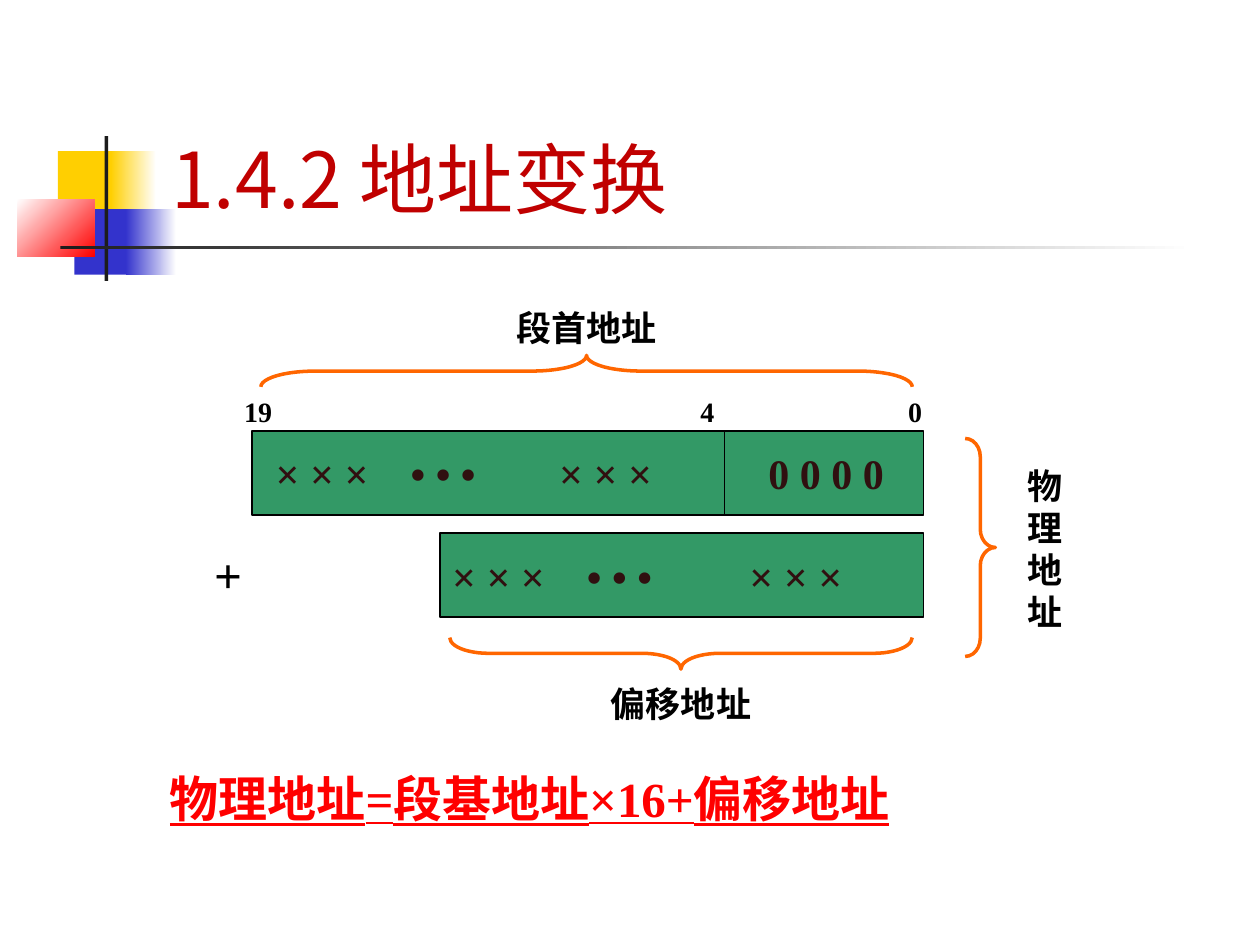
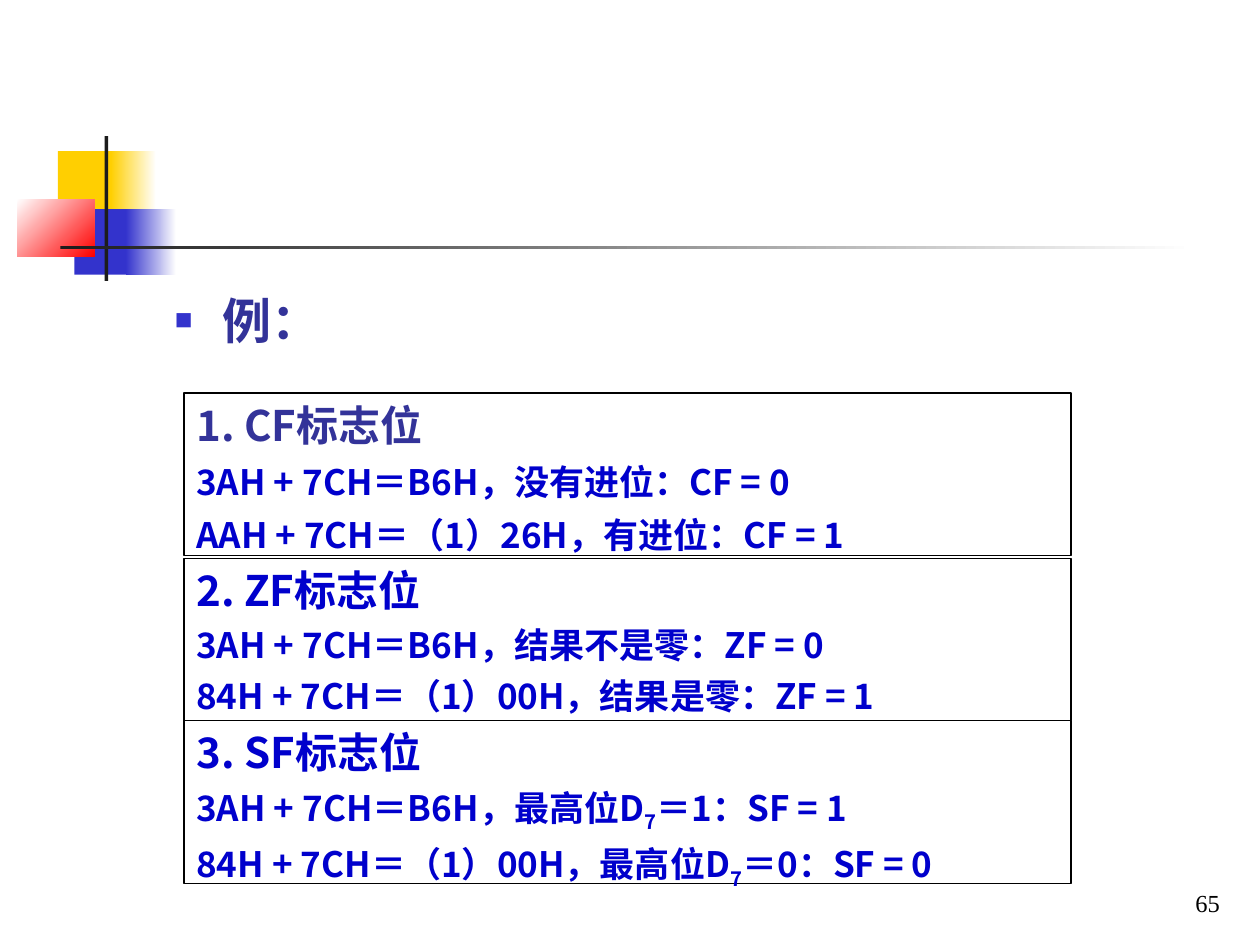
from dataclasses import dataclass

from lxml.etree import SubElement
from pptx import Presentation
from pptx.dml.color import RGBColor
from pptx.enum.shapes import MSO_CONNECTOR, MSO_SHAPE
from pptx.enum.text import MSO_ANCHOR as Anchor, PP_ALIGN as Align
from pptx.oxml.ns import qn
from pptx.util import Emu, Pt

PX = 9144  # one px is a hundredth of an inch


@dataclass(frozen=True)
class Theme:
    yellow: str = "FFCF01"
    blue: str = "3333CC"
    red: str = "FF0000"
    white: str = "FFFFFF"
    black: str = "000000"
    rule: str = "1C1C1C"
    title: str = "C00000"
    green: str = "339966"
    bits: str = "301010"
    brace: str = "FF6600"
    heading: str = "333399"
    example: str = "0000CC"
    serif: str = "Times New Roman"
    sans: str = "Noto Sans CJK SC"
    lead: str = "Cabin"
    title_size: int = 44
    large: int = 28
    medium: int = 24
    label: int = 20
    small: int = 16
    number: int = 14


THEME = Theme()

# Places are (left, top, width, height); a pair of colours is a gradient.
DECORATION = [
    ((46, 120, 48, 52), THEME.yellow, 0),
    ((88, 120, 36, 52), (THEME.yellow, THEME.white), 0),
    ((59, 166, 46, 52), THEME.blue, 0),
    ((100, 166, 40, 52), (THEME.blue, THEME.white), 0),
    ((14, 158, 61, 46), (THEME.white, THEME.red), 45),
    ((83, 108, 3, 115), THEME.rule, 0),
    ((48, 195, 900, 3), (THEME.rule, THEME.white), 0),
]

TITLE = "1.4.2 地址变换"
FORMULA = "物理地址=段基地址×16+偏移地址"
REGISTERS = [(200, 342, 533, 67), (349, 423, 384, 67)]
DIVIDER = (575, 342, 409)  # x, top, bottom
BIT_GROUP_TAB = 107
BIT_TEXTS = [
    ("× × ×\t• • •", (209, 350, 233, 50)),
    ("× × ×", (434, 350, 150, 50)),
    ("0 0 0 0", (600, 350, 125, 50)),
    ("× × ×\t• • •", (349, 432, 233, 50)),
    ("× × ×", (585, 432, 150, 50)),
]
BIT_NUMBERS = [("19", 184, 63), ("4", 546, 39), ("0", 711, 39)]
ADDRESS_LABELS = [
    ("段首地址", (400, 238, 158, 44)),
    ("偏移地址", (475, 537, 158, 44)),
    ("物理地址", (806, 364, 63, 144)),
]
BRACES = [  # place as seen, rotation of a left brace
    ((207, 282, 517, 25), 90),
    ((357, 506, 367, 25), 270),
    ((766, 348, 24, 173), 180),
]

EXAMPLE = "例："
PAGE_NUMBER = "65"
FLAG_BOX_LEFT, FLAG_BOX_WIDTH, FLAG_BOX_HEIGHT = 146, 704, 129
# Every second span of a line is a subscript.
FLAGS = [
    (312, THEME.heading, Align.LEFT, "1. CF标志位", [
        ("3AH + 7CH＝B6H，没有进位：CF = 0",),
        ("AAH + 7CH＝（1）26H，有进位：CF = 1",)]),
    (443, THEME.example, Align.JUSTIFY, "2. ZF标志位", [
        ("3AH + 7CH＝B6H，结果不是零：ZF = 0",),
        ("84H + 7CH＝（1）00H，结果是零：ZF = 1",)]),
    (572, THEME.example, Align.JUSTIFY, "3. SF标志位", [
        ("3AH + 7CH＝B6H，最高位D", "7", "＝1：SF = 1"),
        ("84H + 7CH＝（1）00H，最高位D", "7", "＝0：SF = 0")]),
]


def px(*lengths):
    return [Emu(length * PX) for length in lengths]


def rgb(colour):
    return RGBColor.from_string(colour)


def add_preset(page, kind, place, fill=None, angle=0, line=None, width=1):
    shape = page.shapes.add_shape(kind, *px(*place))
    shape.shadow.inherit = False
    if fill is None:
        shape.fill.background()
    elif isinstance(fill, str):
        shape.fill.solid()
        shape.fill.fore_color.rgb = rgb(fill)
    else:
        shape.fill.gradient()
        shape.fill.gradient_angle = (360 - angle) % 360
        for stop, colour in zip(shape.fill.gradient_stops, fill):
            stop.color.rgb = rgb(colour)
    if line:
        shape.line.color.rgb = rgb(line)
        shape.line.width = Pt(width)
    else:
        shape.line.fill.background()
    return shape


def write(shape, text, size, colour=THEME.black, font=THEME.serif, bold=True,
          underline=None, align=Align.LEFT, anchor=Anchor.TOP, before=0,
          after=0, tab=None):
    """Add one paragraph to a shape; text is a string or a tuple of spans."""
    frame = shape.text_frame
    frame.word_wrap = True
    frame.vertical_anchor = anchor
    para = frame.paragraphs[0]
    if para.runs:
        para = frame.add_paragraph()
        para.space_before = Pt(before)
    para.space_after = Pt(after)
    para.alignment = align
    if tab:
        tabs = SubElement(para._p.get_or_add_pPr(), qn("a:tabLst"))
        SubElement(tabs, qn("a:tab"), pos=str(tab * PX), algn="l")
    for index, span in enumerate((text,) if isinstance(text, str) else text):
        run = para.add_run()
        run.text = span
        run.font.size = Pt(size)
        run.font.bold = bold
        run.font.underline = underline
        run.font.color.rgb = rgb(colour)
        run.font.name = font
        properties = run._r.get_or_add_rPr()
        SubElement(properties, qn("a:ea"), typeface=THEME.sans)
        if index % 2:
            properties.set("baseline", "-25000")
    return para


def add_text(page, place, text, size, **text_format):
    return write(page.shapes.add_textbox(*px(*place)), text, size, **text_format)


def add_brace(page, place, rotation):
    """Draw a left brace whose turned outline fills the place."""
    left, top, width, height = place
    depth, span = min(width, height), max(width, height)
    unturned = (left + (width - depth) / 2, top + (height - span) / 2, depth, span)
    unturned = [round(length) for length in unturned]
    brace = add_preset(page, MSO_SHAPE.LEFT_BRACE, unturned, line=THEME.brace, width=2)
    brace.adjustments[0] = span / depth / 12
    brace.rotation = rotation


def add_divider(page, x, top, bottom):
    divider = page.shapes.add_connector(MSO_CONNECTOR.STRAIGHT, *px(x, top, x, bottom))
    divider.line.color.rgb = rgb(THEME.black)
    divider.line.width = Pt(1)
    SubElement(divider._element.spPr, qn("a:effectLst"))


def add_square_bullet(para, indent):
    properties = para._p.get_or_add_pPr()
    properties.set("marL", str(indent * PX))
    properties.set("indent", str(-indent * PX))
    colour = SubElement(properties, qn("a:buClr"))
    SubElement(colour, qn("a:srgbClr"), val=THEME.blue)
    SubElement(properties, qn("a:buSzPct"), val="60000")
    SubElement(properties, qn("a:buFont"), typeface=THEME.serif)
    SubElement(properties, qn("a:buChar"), char="■")


def add_page(deck):
    page = deck.slides.add_slide(deck.slide_layouts[6])
    for place, fill, angle in DECORATION:
        add_preset(page, MSO_SHAPE.RECTANGLE, place, fill, angle)
    return page


def build_address_page(deck):
    page = add_page(deck)
    add_text(page, (126, 23, 852, 160), TITLE, THEME.title_size, font=THEME.sans,
             colour=THEME.title, bold=False, anchor=Anchor.BOTTOM)
    for place in REGISTERS:
        add_preset(page, MSO_SHAPE.RECTANGLE, place, THEME.green, line=THEME.black)
    add_divider(page, *DIVIDER)
    for text, place in BIT_TEXTS:
        add_text(page, place, text, THEME.medium, colour=THEME.bits,
                 tab=BIT_GROUP_TAB if "\t" in text else None)
    for text, left, width in BIT_NUMBERS:
        add_text(page, (left, 308, width, 37), text, THEME.small)
    for text, place in ADDRESS_LABELS:
        add_text(page, place, text, THEME.label)
    for place, rotation in BRACES:
        add_brace(page, place, rotation)
    add_text(page, (160, 427, 55, 57), "+", THEME.large)
    add_text(page, (125, 605, 654, 57), FORMULA, THEME.large,
             colour=THEME.red, underline=True)


def build_flags_page(deck):
    page = add_page(deck)
    example = add_text(page, (129, 221, 850, 68), EXAMPLE, THEME.large,
                       colour=THEME.heading, font=THEME.lead)
    example.line_spacing = 1.1
    add_square_bullet(example, 38)
    for top, colour, align, heading, lines in FLAGS:
        place = (FLAG_BOX_LEFT, top, FLAG_BOX_WIDTH, FLAG_BOX_HEIGHT)
        box = add_preset(page, MSO_SHAPE.RECTANGLE, place, line=THEME.black, width=0.75)
        after = 1.2 if align == Align.LEFT else 0
        write(box, heading, THEME.medium, colour=colour, font=THEME.sans,
              align=align, after=after)
        for line in lines:
            write(box, line, THEME.label, colour=THEME.example, font=THEME.sans,
                  align=align, before=5, after=after)
    add_text(page, (770, 683, 208, 50), PAGE_NUMBER, THEME.number, bold=False,
             align=Align.RIGHT, anchor=Anchor.BOTTOM)


def main():
    deck = Presentation()
    deck.slide_width, deck.slide_height = px(1000, 750)
    build_address_page(deck)
    build_flags_page(deck)
    deck.save("out.pptx")


if __name__ == "__main__":
    main()
